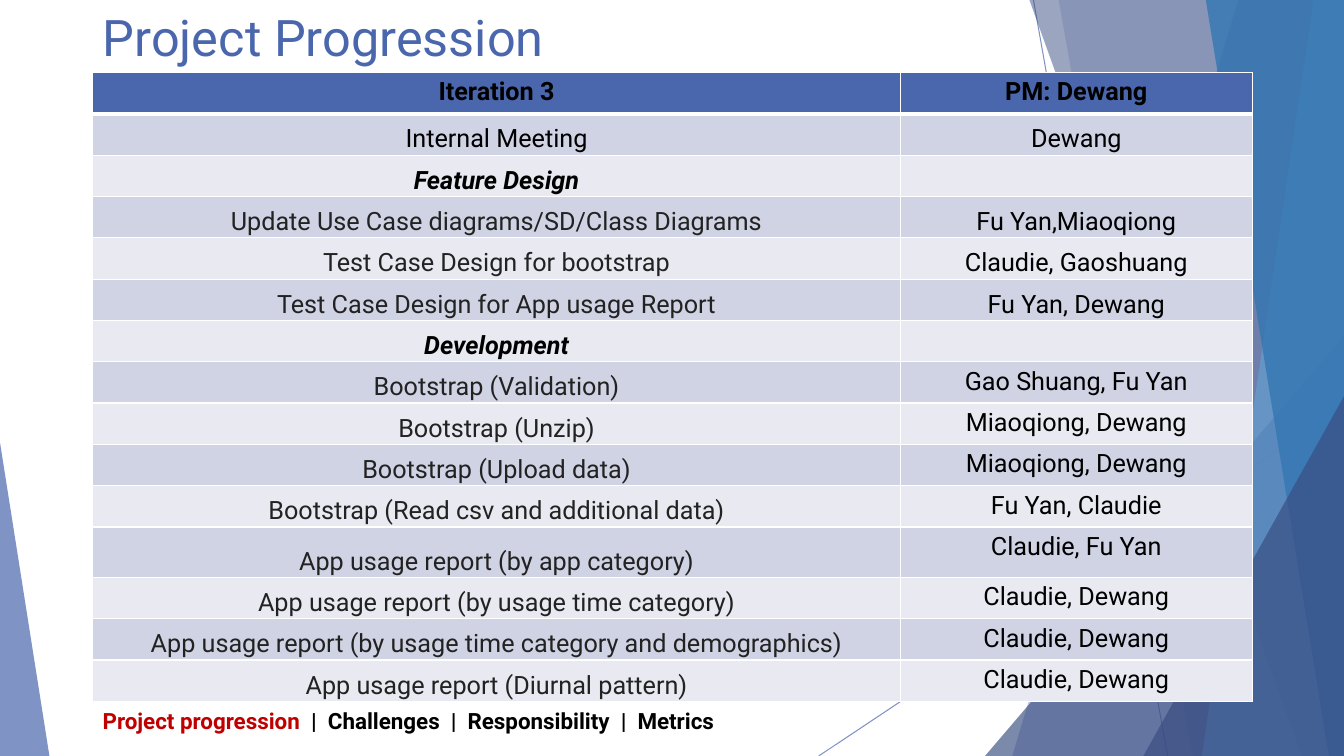
import pptx
import pptx.util
import pptx.dml.color
import pptx.enum.shapes
import pptx.enum.text
import pptx.oxml.ns
import lxml.etree

Inches = pptx.util.Inches
ANCHOR = pptx.enum.text.MSO_ANCHOR
ALIGN = pptx.enum.text.PP_ALIGN
COLORS = {
    "blue": "4A66AC", "navy": "384C81", "sky": "629DD1", "ocean": "3477B2",
    "white": "FFFFFF", "black": "000000", "gray": "222222", "red": "C00000",
    "dark": "D0D3E3", "light": "E9EAF1",
}


def write(para, text, size=18, color="black", bold=False, italic=False, align=None):
    run = para.add_run()
    run.text = text
    font = run.font
    font.name, font.size = "Roboto", pptx.util.Pt(size)
    font.bold, font.italic = bold, italic
    font.color.rgb = pptx.dml.color.RGBColor.from_string(COLORS[color])
    if align is not None:
        para.alignment = align


def paint(fill, color, alpha=100):
    fill.solid()
    fill.fore_color.rgb = pptx.dml.color.RGBColor.from_string(COLORS[color])
    if alpha < 100:
        tag = fill._xPr.find(".//" + pptx.oxml.ns.qn("a:srgbClr"))
        lxml.etree.SubElement(tag, pptx.oxml.ns.qn("a:alpha"), val=str(alpha * 1000))


deck = pptx.Presentation()
deck.slide_width, deck.slide_height = Inches(13.33), Inches(7.5)
slide = deck.slides.add_slide(deck.slide_layouts[5])
shapes = slide.shapes
title = shapes.title

# Thin diagonal lines
for x1, y1, x2 in [(10.25, 0, 11.58), (13.33, 4.03, 8.12)]:
    line = shapes.add_connector(
        pptx.enum.shapes.MSO_CONNECTOR.STRAIGHT,
        Inches(x1), Inches(y1), Inches(x2), Inches(7.5))
    line.line.width = pptx.util.Pt(0.75)
    paint(line.line.fill, "blue", 70)
    lxml.etree.SubElement(line._element.spPr, pptx.oxml.ns.qn("a:effectLst"))

# Facets: bands run from top to bottom at the right edge, triangles stand on the bottom
facets = [
    ("band", 12.28, 10.04, "blue", 36),
    ("band", 10.5, 11.83, "blue", 20),
    ("wedge", 9.77, 3.33, 3.56, 1, "navy", 66),
    ("band", 10.21, 12.91, "navy", 50),
    ("band", 13.03, 11.92, "sky", 70),
    ("band", 11.96, 13.18, "ocean", 80),
    ("wedge", 11.34, 3.93, 1.99, 1, "navy", 66),
    ("wedge", 0, 4.39, 0.49, 0, "blue", 70),
]
for kind, *size, color, alpha in facets:
    if kind == "band":
        top, base = size
        pen = shapes.build_freeform(Inches(top), 0)
        pen.add_line_segments([(Inches(x), Inches(y)) for x, y in
                               [(13.33, 0), (13.33, 7.5), (base, 7.5)]])
        facet = pen.convert_to_shape()
    else:
        left, top, width, peak = size
        facet = shapes.add_shape(
            pptx.enum.shapes.MSO_SHAPE.ISOSCELES_TRIANGLE,
            Inches(left), Inches(top), Inches(width), Inches(7.5 - top))
        facet.adjustments[0] = peak
    facet.shadow.inherit = False
    facet.line.fill.background()
    paint(facet.fill, color, alpha)

# Title, in front of the facets
shapes._spTree.append(title._element)
title.left, title.top = Inches(0.92), Inches(0)
title.width, title.height = Inches(11.5), Inches(0.72)
title.text_frame.vertical_anchor = ANCHOR.MIDDLE
write(title.text_frame.paragraphs[0], "Project Progression", size=36, color="blue",
      align=ALIGN.LEFT)

# Task table
tasks = [
    ("Iteration 3", "PM: Dewang"),
    ("Internal Meeting", "Dewang"),
    ("Feature Design", ""),
    ("Update Use Case diagrams/SD/Class Diagrams", "Fu Yan,Miaoqiong"),
    ("Test Case Design for bootstrap", "Claudie, Gaoshuang"),
    ("Test Case Design for App usage Report", "Fu Yan, Dewang"),
    ("Development", ""),
    ("Bootstrap (Validation)", "Gao Shuang, Fu Yan"),
    ("Bootstrap (Unzip)", "Miaoqiong, Dewang"),
    ("Bootstrap (Upload data)", "Miaoqiong, Dewang"),
    ("Bootstrap (Read csv and additional data)", "Fu Yan, Claudie"),
    ("App usage report (by app category)", "Claudie, Fu Yan"),
    ("App usage report (by usage time category)", "Claudie, Dewang"),
    ("App usage report (by usage time category and demographics)", "Claudie, Dewang"),
    ("App usage report (Diurnal pattern)", "Claudie, Dewang"),
]
table = shapes.add_table(len(tasks), 2, Inches(0.92), Inches(0.72),
                         Inches(11.5), Inches(6.18)).table
table.columns[0].width, table.columns[1].width = Inches(8.01), Inches(3.49)
for r, task in enumerate(tasks):
    table.rows[r].height = Inches(0.5 if r == 11 else 0.41)
    head, group = r == 0, not task[1]
    for c, text in enumerate(task):
        cell = table.cell(r, c)
        # White borders, thick below the header
        props = cell._tc.get_or_add_tcPr()
        for side in "LRTB":
            thick = (r, side) in [(0, "B"), (1, "T")]
            edge = lxml.etree.SubElement(props, pptx.oxml.ns.qn("a:ln" + side),
                                         w=str(pptx.util.Pt(3 if thick else 1)))
            fill = lxml.etree.SubElement(edge, pptx.oxml.ns.qn("a:solidFill"))
            lxml.etree.SubElement(fill, pptx.oxml.ns.qn("a:srgbClr"), val=COLORS["white"])
        paint(cell.fill, "blue" if head else "dark" if r % 2 else "light")
        if not text:
            continue
        # Owners of the development tasks keep the default top anchor
        if not head and (c == 0 or r < 7):
            cell.vertical_anchor = ANCHOR.BOTTOM
            cell.margin_left = cell.margin_right = Inches(0.02)
            cell.margin_top = cell.margin_bottom = Inches(0.01)
        plain = c == 1 or r < 2 or group
        write(cell.text_frame.paragraphs[0], text, color="black" if plain else "gray",
              bold=head or group, italic=group, align=ALIGN.CENTER)

# Section trail
trail = shapes.add_textbox(Inches(0.92), Inches(6.95), Inches(11.5), Inches(0.4)).text_frame
trail.word_wrap = True
trail.vertical_anchor = ANCHOR.MIDDLE
write(trail.paragraphs[0], "Project progression  ", size=16, color="red", bold=True)
write(trail.paragraphs[0], "|  Challenges  |  Responsibility  |  Metrics", size=16, bold=True)

deck.save("out.pptx")
